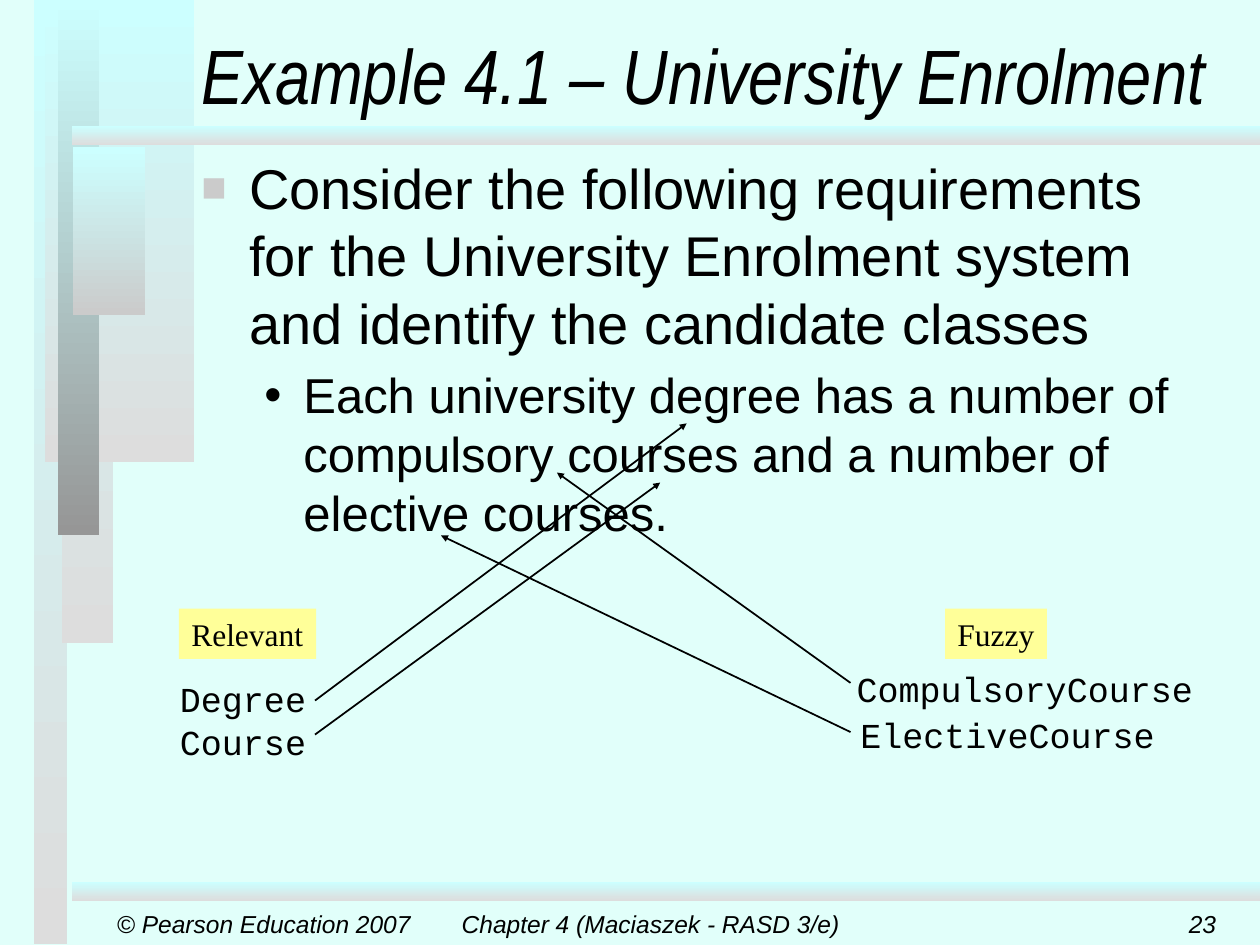
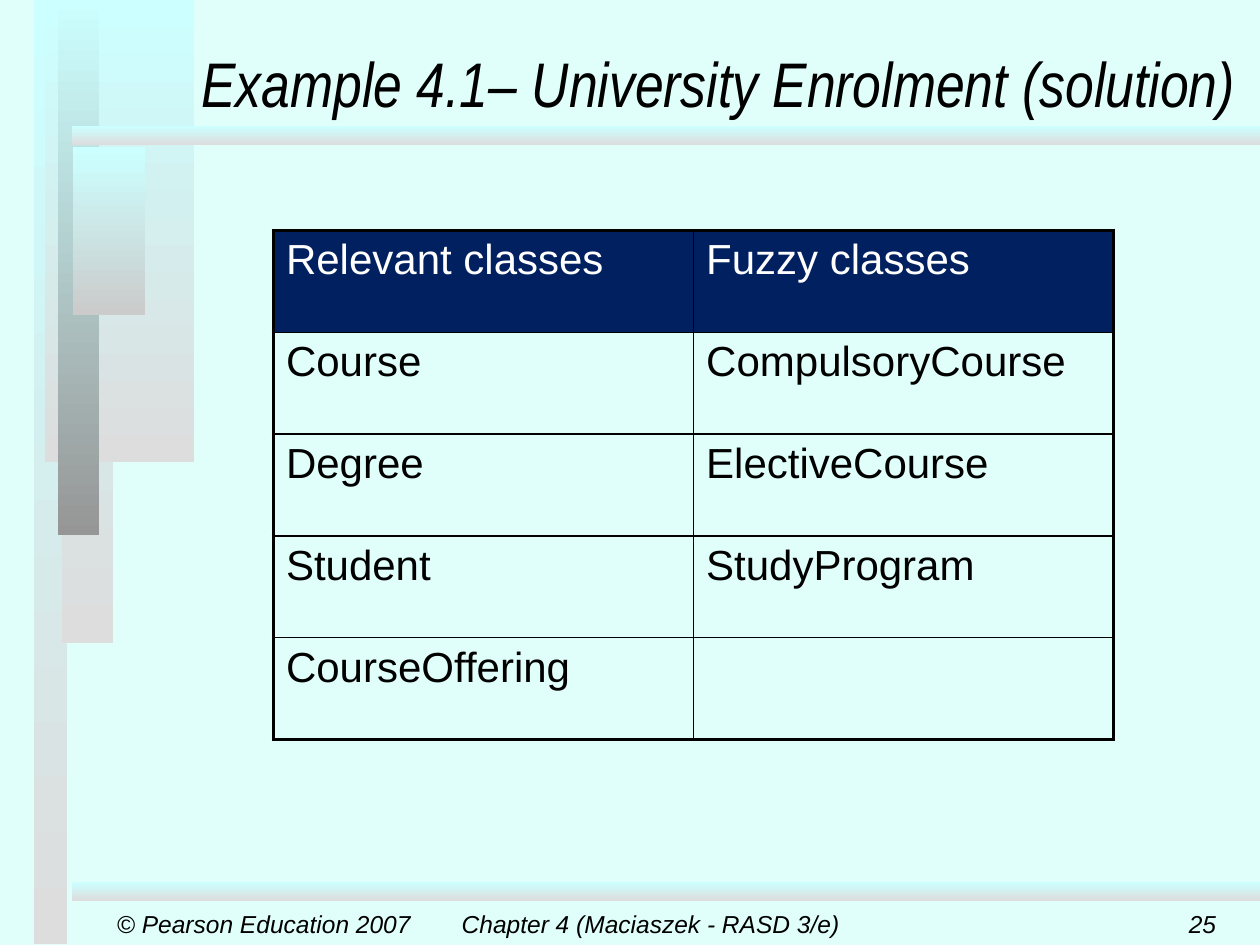
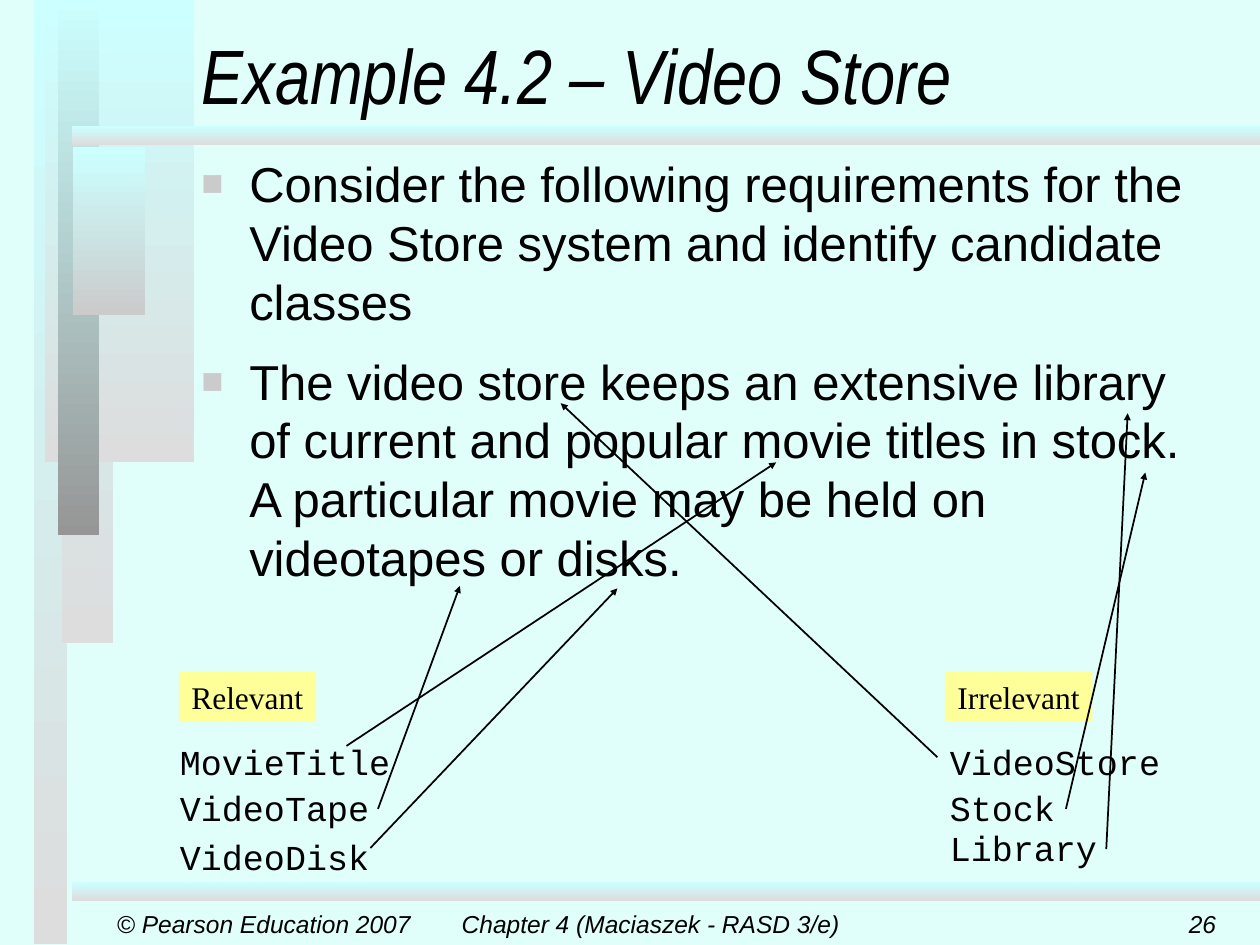
from dataclasses import dataclass
from typing import NamedTuple

from lxml import etree
from pptx import Presentation
from pptx.dml.color import RGBColor
from pptx.enum.shapes import MSO_CONNECTOR as Connector, MSO_SHAPE as Preset
from pptx.enum.text import MSO_ANCHOR as Anchor, MSO_AUTO_SIZE as AutoSize, PP_ALIGN as Align
from pptx.oxml.ns import qn
from pptx.util import Inches, Pt


# Theme: colours, fonts and type sizes
@dataclass(frozen=True)
class Theme:
    page: str = "E1FFFA"
    ink: str = "000000"
    white: str = "FFFFFF"
    aqua: str = "CCFFFF"
    mist: str = "DDDDDD"
    silver: str = "CBCBCB"
    slate: str = "969696"
    navy: str = "002060"
    tag: str = "FFFF99"
    sans: str = "Arial"
    narrow: str = "Arial Narrow"
    code: str = "Courier New"
    serif: str = "Times New Roman"
    title_size: int = 44
    long_title_size: int = 36
    lead_size: int = 32
    body_size: int = 28
    table_size: int = 24
    code_size: int = 20
    tag_size: int = 18
    footer_size: int = 14
    thin: float = 1
    thick: float = 2.25


THEME = Theme()


# Repeated elements
class Band(NamedTuple):
    left: float
    top: float
    width: float
    height: float
    end: str = THEME.mist


class Footer(NamedTuple):
    text: str
    left: float
    width: float
    align: Align


class Bullet(NamedTuple):
    text: str
    size: int
    space: float = 0
    level: int = 0


class BulletStyle(NamedTuple):
    symbol: str
    color: str
    percent: int
    margin: float
    hanging: float


class ClassName(NamedTuple):
    text: str
    left: float
    top: float


class Tag(NamedTuple):
    text: str
    left: float
    top: float
    width: float


class Arrow(NamedTuple):
    start: tuple[float, float]
    end: tuple[float, float]


@dataclass
class Example:
    title: str
    number: int
    bullets: list[Bullet]
    body_height: float
    tags: list[Tag]
    names: list[ClassName]
    arrows: list[Arrow]


BANDS = [
    Band(0.27, 0, 0.26, 7.49),
    Band(0.49, 0, 0.41, 5.1),
    Band(0.36, 0, 1.18, 3.67),
    Band(0.46, 0, 0.33, 4.25, THEME.slate),
    Band(0.58, 1.17, 0.57, 1.33, THEME.silver),
    Band(0.57, 1, 9.43, 0.15),
    Band(0.57, 7, 9.43, 0.15),
]
BULLET_STYLES = [
    BulletStyle("■", THEME.silver, 75, 0.38, 0.38),
    BulletStyle("•", THEME.ink, 100, 0.81, 0.31),
]
CLASS_ROWS = [
    ("Relevant classes", "Fuzzy classes"),
    ("Course", "CompulsoryCourse"),
    ("Degree", "ElectiveCourse"),
    ("Student", "StudyProgram"),
    ("CourseOffering", ""),
]
ENROLMENT = Example(
    "Example 4.1 – University Enrolment", 23,
    [Bullet("Consider the following requirements for the University Enrolment system "
            "and identify the candidate classes", THEME.lead_size),
     Bullet("Each university degree has a number of compulsory courses and a number "
            "of elective courses.", THEME.body_size, space=5.5, level=1)],
    3.42,
    [Tag("Relevant", 1.42, 4.83, 1.09), Tag("Fuzzy", 7.5, 4.83, 0.81)],
    [ClassName("Degree", 1.33, 5.33), ClassName("Course", 1.33, 5.67),
     ClassName("CompulsoryCourse", 6.7, 5.25), ClassName("ElectiveCourse", 6.73, 5.61)],
    [Arrow((2.5, 5.56), (5.45, 3.36)), Arrow((2.5, 5.83), (5.24, 3.83)),
     Arrow((6.75, 5.42), (4.42, 3.75)), Arrow((6.75, 5.81), (3.5, 4.25))],
)
VIDEO_STORE = Example(
    "Example 4.2 – Video Store", 26,
    [Bullet("Consider the following requirements for the Video Store system and "
            "identify candidate classes", THEME.body_size),
     Bullet("The video store keeps an extensive library of current and popular movie "
            "titles in stock. A particular movie may be held on videotapes or disks.",
            THEME.body_size, space=12)],
    5.75,
    [Tag("Relevant", 1.42, 5.33, 1.09), Tag("Irrelevant", 7.5, 5.33, 1.17)],
    [ClassName("MovieTitle", 1.33, 5.83), ClassName("VideoTape", 1.33, 6.19),
     ClassName("VideoDisk", 1.33, 6.58), ClassName("VideoStore", 7.44, 5.83),
     ClassName("Stock", 7.44, 6.19), ClassName("Library", 7.44, 6.51)],
    [Arrow((2.75, 5.92), (6.16, 3.67)), Arrow((3, 6.42), (3.65, 4.65)),
     Arrow((2.94, 6.73), (4.9, 4.67)), Arrow((7.44, 6.01), (4.45, 3.2)),
     Arrow((8.46, 6.42), (9.09, 3.75)), Arrow((8.78, 6.74), (8.95, 3.28))],
)


# Text helpers
def color(value: str) -> RGBColor:
    return RGBColor.from_string(value)


def format_runs(para, font: str, size: int, ink: str = THEME.ink, italic: bool = False) -> None:
    for span in para.runs:
        span.font.name = font
        span.font.size = Pt(size)
        span.font.color.rgb = color(ink)
        span.font.italic = italic


def add_text(page, text: str, left: float, top: float, width: float, height: float):
    box = page.shapes.add_textbox(Inches(left), Inches(top), Inches(width), Inches(height))
    box.text_frame.text = text
    box.text_frame.word_wrap = False
    return box


def set_bullet(para, style: BulletStyle) -> None:
    props = para._p.get_or_add_pPr()
    props.set("marL", str(Inches(style.margin)))
    props.set("indent", str(-Inches(style.hanging)))
    tint = etree.SubElement(props, qn("a:buClr"))
    etree.SubElement(tint, qn("a:srgbClr"), val=style.color)
    etree.SubElement(props, qn("a:buSzPct"), val=str(style.percent * 1000))
    etree.SubElement(props, qn("a:buFont"), typeface=THEME.sans)
    etree.SubElement(props, qn("a:buChar"), char=style.symbol)


# Shared page furniture
def draw_band(page, band: Band) -> None:
    shape = page.shapes.add_shape(Preset.RECTANGLE, *map(Inches, band[:4]))
    shape.shadow.inherit = False
    shape.line.fill.background()
    shape.fill.gradient()
    shape.fill.gradient_angle = 270
    for stop, value in zip(shape.fill.gradient_stops, (THEME.aqua, band.end)):
        stop.color.rgb = color(value)


def draw_footer(page, footer: Footer) -> None:
    box = add_text(page, footer.text, footer.left, 7.17, footer.width, 0.33)
    box.text_frame.vertical_anchor = Anchor.MIDDLE
    para = box.text_frame.paragraphs[0]
    para.alignment = footer.align
    format_runs(para, THEME.sans, THEME.footer_size, italic=True)


def add_page(deck, title: str, number: int, size: int = THEME.title_size):
    page = deck.slides.add_slide(deck.slide_layouts.get_by_name("Title Only"))
    for band in BANDS:
        draw_band(page, band)
    for footer in (
        Footer("© Pearson Education 2007", 0.83, 2.65, Align.LEFT),
        Footer("Chapter 4 (Maciaszek - RASD 3/e)", 3.5, 3.33, Align.CENTER),
        Footer(str(number), 7.67, 2.08, Align.RIGHT),
    ):
        draw_footer(page, footer)

    # The title sits in front of the bands
    heading = page.shapes.title
    page.shapes._spTree.append(heading._element)
    heading.left, heading.top = Inches(1.5), Inches(0)
    heading.width, heading.height = Inches(8.5), Inches(1)
    frame = heading.text_frame
    frame.text = title
    frame.auto_size = AutoSize.NONE
    frame.vertical_anchor = Anchor.BOTTOM
    frame.paragraphs[0].alignment = Align.LEFT
    format_runs(frame.paragraphs[0], THEME.narrow, size, italic=True)
    return page


# Parts of the example pages
def draw_bullets(page, bullets: list[Bullet], height: float) -> None:
    box = add_text(page, "\n".join(item.text for item in bullets), 1.5, 1.17, 8.25, height)
    box.text_frame.word_wrap = True
    for para, item in zip(box.text_frame.paragraphs, bullets):
        set_bullet(para, BULLET_STYLES[item.level])
        para.level = item.level
        para.space_before = Pt(item.space)
        format_runs(para, THEME.sans, item.size)


def draw_class_name(page, name: ClassName) -> None:
    # Monospaced letters are 0.6 em wide; the rest is the box margins
    width = 0.23 + len(name.text) * THEME.code_size * 0.6 / 72
    box = add_text(page, name.text, name.left, name.top, width, 0.44)
    box.text_frame.auto_size = AutoSize.SHAPE_TO_FIT_TEXT
    format_runs(box.text_frame.paragraphs[0], THEME.code, THEME.code_size)


def draw_tag(page, tag: Tag) -> None:
    box = add_text(page, tag.text, tag.left, tag.top, tag.width, 0.4)
    box.fill.solid()
    box.fill.fore_color.rgb = color(THEME.tag)
    box.text_frame.auto_size = AutoSize.SHAPE_TO_FIT_TEXT
    format_runs(box.text_frame.paragraphs[0], THEME.serif, THEME.tag_size)


def draw_arrow(page, arrow: Arrow) -> None:
    line = page.shapes.add_connector(
        Connector.STRAIGHT, *map(Inches, arrow.start + arrow.end))
    line.line.color.rgb = color(THEME.ink)
    line.line.width = Pt(THEME.thin)
    etree.SubElement(line.line._get_or_add_ln(), qn("a:tailEnd"),
                     type="triangle", w="sm", len="sm")
    etree.SubElement(line._element.spPr, qn("a:effectLst"))


def add_example(deck, example: Example) -> None:
    page = add_page(deck, example.title, example.number)
    draw_bullets(page, example.bullets, example.body_height)
    for tag in example.tags:
        draw_tag(page, tag)
    for name in example.names:
        draw_class_name(page, name)
    for arrow in example.arrows:
        draw_arrow(page, arrow)


# Table of classes
def set_border(cell, side: str, width: float) -> None:
    edge = etree.SubElement(cell._tc.get_or_add_tcPr(), qn(f"a:ln{side}"), w=str(Pt(width)))
    fill = etree.SubElement(edge, qn("a:solidFill"))
    etree.SubElement(fill, qn("a:srgbClr"), val=THEME.ink)


def draw_class_table(page, rows: list[tuple[str, str]]) -> None:
    last_row, last_col = len(rows) - 1, len(rows[0]) - 1
    table = page.shapes.add_table(
        len(rows), len(rows[0]), Inches(2.17), Inches(1.83), Inches(6.67), Inches(4.04)).table
    table.horz_banding = False
    table.first_row = False
    for r, texts in enumerate(rows):
        for c, text in enumerate(texts):
            cell = table.cell(r, c)
            outer = {"L": c == 0, "R": c == last_col, "T": r == 0, "B": r == last_row}
            for side, is_outer in outer.items():
                set_border(cell, side, THEME.thick if is_outer else THEME.thin)
            if r == 0:
                cell.fill.solid()
                cell.fill.fore_color.rgb = color(THEME.navy)
            else:
                cell.fill.background()
            cell.text_frame.text = text
            format_runs(cell.text_frame.paragraphs[0], THEME.sans, THEME.table_size,
                        THEME.ink if r else THEME.white)


def main() -> None:
    deck = Presentation()
    deck.slide_width, deck.slide_height = Inches(10), Inches(7.5)
    background = deck.slide_master.background.fill
    background.solid()
    background.fore_color.rgb = color(THEME.page)

    add_example(deck, ENROLMENT)
    solution = add_page(deck, "Example 4.1– University Enrolment (solution)", 25,
                        THEME.long_title_size)
    draw_class_table(solution, CLASS_ROWS)
    add_example(deck, VIDEO_STORE)
    deck.save("out.pptx")


if __name__ == "__main__":
    main()
